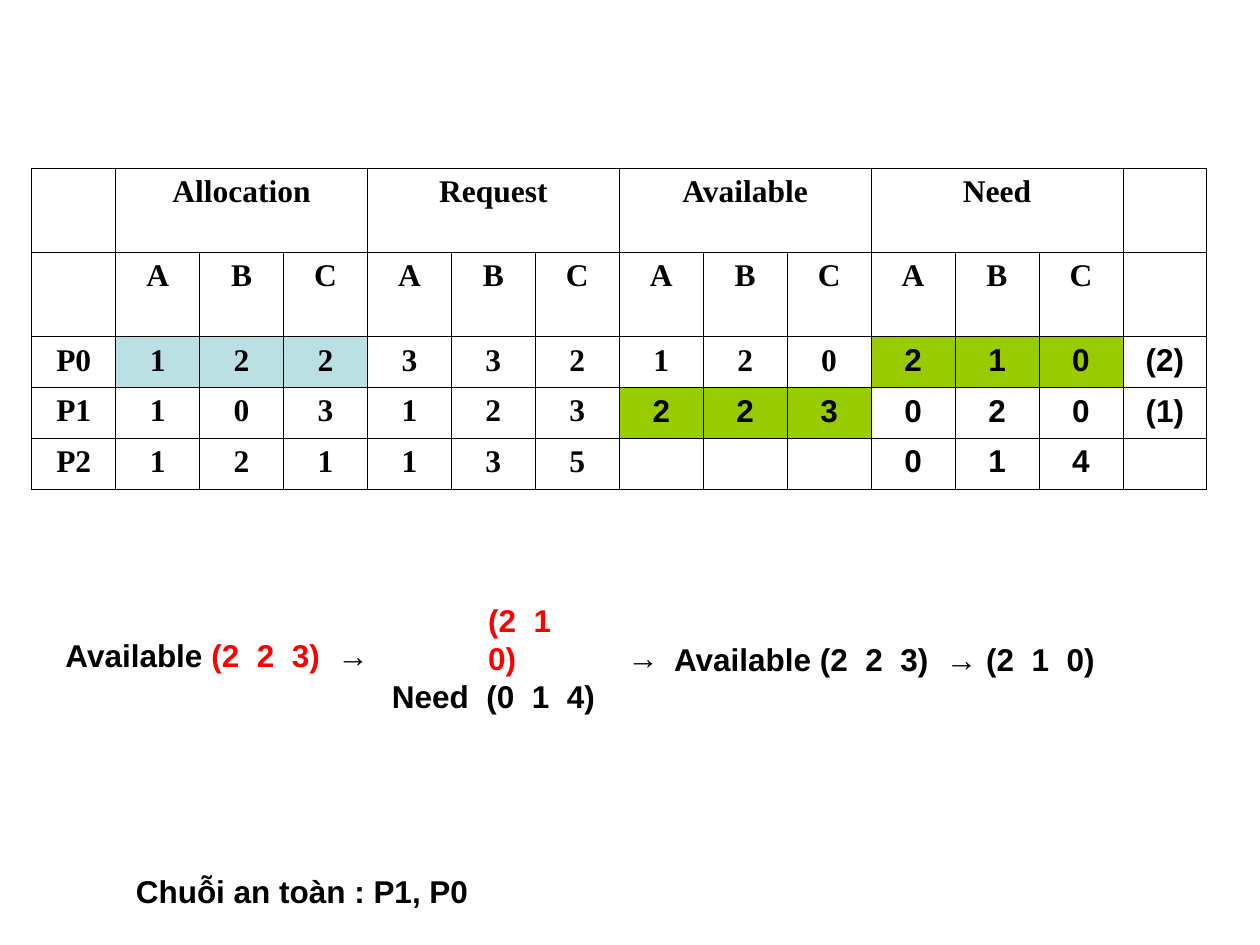
"""Build a slide with a resource allocation table and its safe sequence."""
from dataclasses import dataclass

from lxml import etree
from pptx import Presentation
from pptx.dml.color import RGBColor
from pptx.enum.text import MSO_AUTO_SIZE, PP_ALIGN
from pptx.oxml.ns import qn
from pptx.util import Cm, Pt

CENTER = PP_ALIGN.CENTER
FIT_SHAPE = MSO_AUTO_SIZE.SHAPE_TO_FIT_TEXT


@dataclass(frozen=True)
class Theme:
    black: str = "000000"
    red: str = "FF0000"
    blue: str = "BBE0E3"
    green: str = "99CC00"
    serif: str = "Times New Roman"
    sans: str = "Arial"
    size: float = 18
    border: float = 0.45


THEME = Theme()


def add_span(para, text, color=THEME.black, font=THEME.sans):
    span = para.add_run()
    span.text = text
    span.font.name = font
    span.font.size = Pt(THEME.size)
    span.font.bold = True
    span.font.color.rgb = RGBColor.from_string(color)


def add_borders(cell):
    properties = cell._tc.get_or_add_tcPr()
    for side in ("a:lnL", "a:lnR", "a:lnT", "a:lnB"):
        line = etree.SubElement(properties, qn(side), w=str(Pt(THEME.border)))
        fill = etree.SubElement(line, qn("a:solidFill"))
        etree.SubElement(fill, qn("a:srgbClr"), val=THEME.black)


deck = Presentation()
deck.slide_width = Cm(25.4)
deck.slide_height = Cm(19.05)
page = deck.slides.add_slide(deck.slide_layouts[6])

GROUPS = ["Allocation", "Request", "Available", "Need"]
ROWS = [
    ["", *(text for group in GROUPS for text in (group, "", "")), ""],
    ["", *"ABC" * len(GROUPS), ""],
    ["P0", *"122332120210", "(2)"],
    ["P1", *"103123223020", "(1)"],
    ["P2", *"121135", "", "", "", *"014", ""],
]
HEIGHTS = [1.7, 1.7, 1.02, 1.02, 1.02]
HIGHLIGHTS = {(2, 1): THEME.blue, (2, 10): THEME.green, (3, 7): THEME.green}
SANS_START = {2: 10, 3: 7, 4: 10}
COLUMNS = len(ROWS[0])

table = page.shapes.add_table(
    len(ROWS), COLUMNS, Cm(0.64), Cm(3.39), Cm(23.7), Cm(sum(HEIGHTS))
).table
table.first_row = False
table.horz_banding = False
for column in table.columns:
    column.width = Cm(23.7 / COLUMNS)
for row, height in zip(table.rows, HEIGHTS):
    row.height = Cm(height)

fills = {
    (row, start + offset): color
    for (row, start), color in HIGHLIGHTS.items()
    for offset in range(3)
}
for row, texts in enumerate(ROWS):
    for column, text in enumerate(texts):
        cell = table.cell(row, column)
        add_borders(cell)
        if (row, column) in fills:
            cell.fill.solid()
            cell.fill.fore_color.rgb = RGBColor.from_string(fills[row, column])
        else:
            cell.fill.background()
        if text:
            para = cell.text_frame.paragraphs[0]
            para.alignment = CENTER
            sans = column >= SANS_START.get(row, COLUMNS)
            add_span(para, text, font=THEME.sans if sans else THEME.serif)
for start in range(1, COLUMNS - 1, 3):
    table.cell(0, start).merge(table.cell(0, start + 2))

NOTES = [
    (1.07, 12.7, 6.65, 1.02, [
        (0, [("Available ", THEME.black), ("(2  2  3)  ", THEME.red), ("→", THEME.black)]),
    ]),
    (7.65, 11.99, 4.62, 1.78, [
        (1.94, [("(2  1  0)", THEME.red)]),
        (0, [("Need  (0  1  4)", THEME.black)]),
    ]),
    (12.4, 12.73, 1.14, 1.02, [(0, [("→", THEME.black)])]),
    (13.34, 12.78, 9.02, 1.02, [(0, [("Available (2  2  3)  → (2  1  0)", THEME.black)])]),
    (2.49, 17.45, 7.39, 1.02, [(0, [("Chuỗi an toàn : P1, P0", THEME.black)])]),
]
for left, top, width, height, lines in NOTES:
    box = page.shapes.add_textbox(Cm(left), Cm(top), Cm(width), Cm(height))
    frame = box.text_frame
    frame.word_wrap = False
    frame.auto_size = FIT_SHAPE
    for number, (indent, spans) in enumerate(lines):
        para = frame.add_paragraph() if number else frame.paragraphs[0]
        if indent:
            para._p.get_or_add_pPr().set("marL", str(Cm(indent)))
        for text, color in spans:
            add_span(para, text, color)

deck.save("out.pptx")
